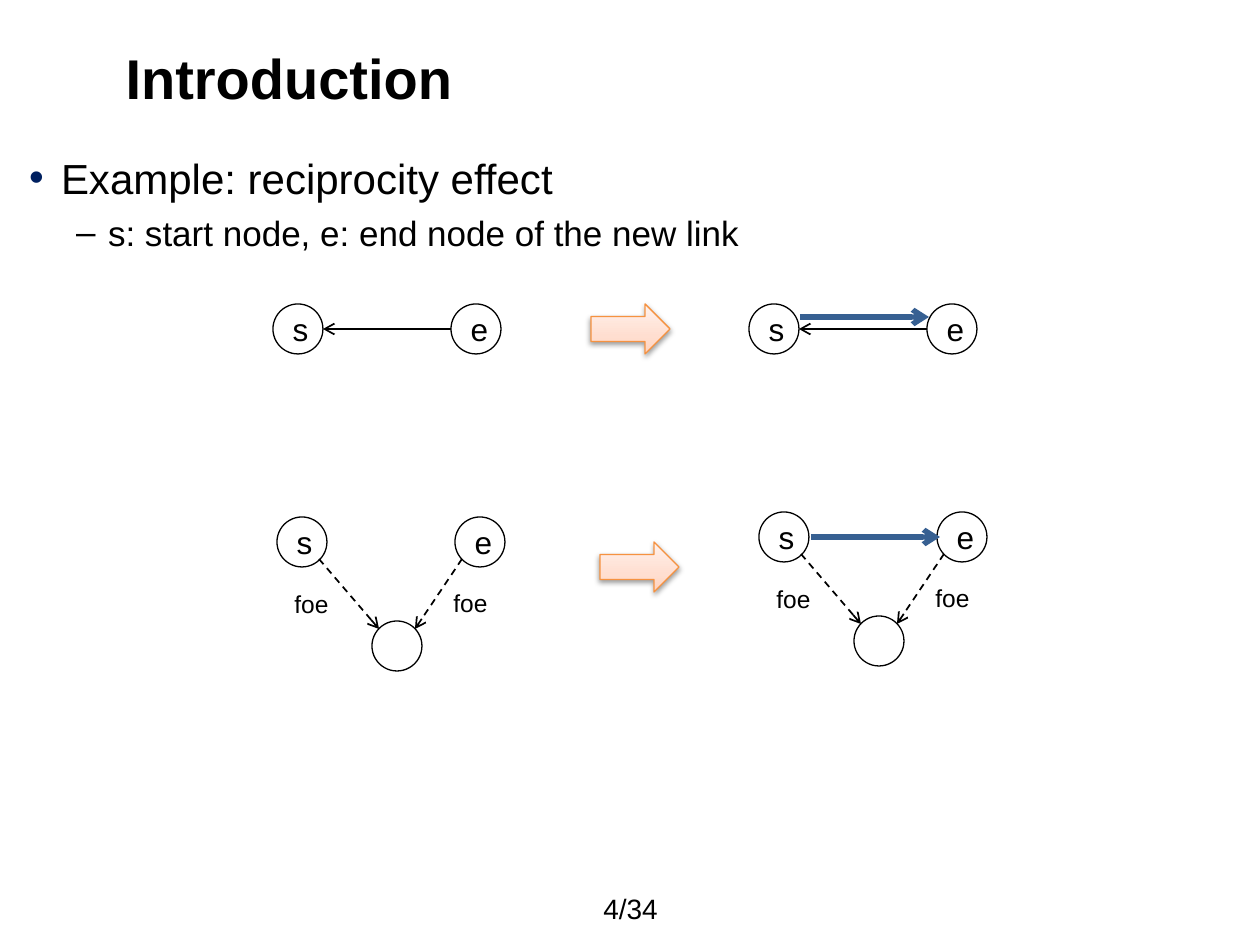
import pptx
import pptx.util
import pptx.dml.color
import pptx.enum.dml
import pptx.enum.shapes
import pptx.enum.text
import pptx.oxml.ns
import copy
from lxml import etree

EMU_PER_PX = 914400 / 126
FONT = "Arial"
BLACK = "000000"
NODE = 50
NODE_GAP = 178
SHAPES = pptx.enum.shapes.MSO_SHAPE
ALIGN = pptx.enum.text.PP_ALIGN
MIDDLE = pptx.enum.text.MSO_ANCHOR.MIDDLE
qn = pptx.oxml.ns.qn


def px(*lengths):
    return [pptx.util.Emu(round(length * EMU_PER_PX)) for length in lengths]


def colour(value):
    return pptx.dml.color.RGBColor.from_string(value)


def add_xml(parent, tag, **attributes):
    return etree.SubElement(parent, qn(tag), {k: str(v) for k, v in attributes.items()})


def write(frame, text, size=18, bold=False, align=ALIGN.LEFT, anchor=None,
          level=0, bullet=None, bullet_colour=BLACK, indent=(0, 0), before=0):
    paragraph = frame.paragraphs[0]
    if paragraph.text:
        paragraph = frame.add_paragraph()
    paragraph.text = text
    paragraph.level = level
    paragraph.alignment = align
    paragraph.space_before = pptx.util.Pt(before)
    if anchor is not None:
        frame.vertical_anchor = anchor
    if bullet:
        properties = paragraph._p.get_or_add_pPr()
        margin, hanging = px(*indent)
        properties.set("marL", str(margin))
        properties.set("indent", str(hanging))
        add_xml(add_xml(properties, "a:buClr"), "a:srgbClr", val=bullet_colour)
        add_xml(properties, "a:buFont", typeface=FONT)
        add_xml(properties, "a:buChar", char=bullet)
    font = paragraph.runs[0].font
    font.name = FONT
    font.size = pptx.util.Pt(size)
    font.bold = bold
    font.color.rgb = colour(BLACK)


def add_text_frame(slide, x, y, width, height, wrap=True):
    frame = slide.shapes.add_textbox(*px(x, y, width, height)).text_frame
    frame.word_wrap = wrap
    return frame


def add_node(slide, x, y, name=None):
    node = slide.shapes.add_shape(SHAPES.OVAL, *px(x, y, NODE, NODE))
    node.shadow.inherit = False
    node.fill.background()
    node.line.color.rgb = colour(BLACK)
    node.line.width = pptx.util.Pt(0.75)
    if name:
        write(node.text_frame, name, align=ALIGN.CENTER, anchor=MIDDLE)


def add_link(slide, start, end, shade=BLACK, width=1, dashed=False):
    link = slide.shapes.add_connector(
        pptx.enum.shapes.MSO_CONNECTOR.STRAIGHT, *px(*start, *end))
    link.line.color.rgb = colour(shade)
    link.line.width = pptx.util.Pt(width)
    if dashed:
        link.line.dash_style = pptx.enum.dml.MSO_LINE.DASH
    properties = link.element.spPr
    add_xml(properties.find(qn("a:ln")), "a:tailEnd", type="arrow")
    add_xml(properties, "a:effectLst")


def add_new_link(slide, x, y):
    add_link(slide, (x, y), (x + 129, y), shade="376092", width=3)


def add_step_arrow(slide, x, y):
    arrow = slide.shapes.add_shape(SHAPES.RIGHT_ARROW, *px(x, y, 79, 50))
    arrow.fill.gradient()
    arrow.fill.gradient_angle = 90
    stops = arrow.element.spPr.find(qn("a:gradFill")).find(qn("a:gsLst"))
    stops.append(copy.deepcopy(stops[0]))
    tints = [(0, "FFD2BD"), (0.35, "FFDED0"), (1, "FFF2ED")]
    for stop, (position, tint) in zip(arrow.fill.gradient_stops, tints):
        stop.position = position
        stop.color.rgb = colour(tint)
    arrow.line.color.rgb = colour("F69240")
    arrow.line.width = pptx.util.Pt(0.75)
    arrow.shadow.inherit = False
    shadow = add_xml(arrow.element.spPr.find(qn("a:effectLst")), "a:outerShdw",
                     blurRad=pptx.util.Pt(3.1), dist=pptx.util.Pt(1.6),
                     dir=5400000, rotWithShape=0)
    add_xml(add_xml(shadow, "a:srgbClr", val=BLACK), "a:alpha", val=38000)


def add_pair(slide, x, y):
    add_node(slide, x, y, "s")
    add_node(slide, x + NODE_GAP, y, "e")


def add_reciprocity(slide, x, y):
    add_pair(slide, x, y)
    add_link(slide, (x + NODE_GAP, y + 25), (x + NODE, y + 25))


def add_common_foe(slide, x, y):
    add_pair(slide, x, y)
    add_node(slide, x + 95, y + 104)
    for start, end, label, label_top in [(42, 102, 5, 66), (185, 138, 164, 65)]:
        add_link(slide, (x + start, y + 42), (x + end, y + 112), dashed=True)
        frame = add_text_frame(slide, x + label, y + label_top, 59, 43, wrap=False)
        write(frame, "foe", size=14)


def add_title(slide, text):
    title = slide.shapes.title
    title.left, title.top, title.width, title.height = px(113, 37, 1045, 81)
    write(title.text_frame, text, size=32, bold=True, anchor=MIDDLE)


def add_body(slide):
    body = add_text_frame(slide, 29, 147, 1201, 689)
    body.margin_left = body.margin_right = body.margin_bottom = 0
    body.margin_top = px(5)[0]
    write(body, "Example: reciprocity effect", size=24, bullet="•",
          bullet_colour="002060", indent=(32, -32))
    write(body, "s: start node, e: end node of the new link", size=20, level=1,
          bullet="–", indent=(79, -32), before=5)


def main():
    deck = pptx.Presentation()
    deck.slide_width, deck.slide_height = px(1260, 945)
    slide = deck.slides.add_slide(deck.slide_layouts[5])
    add_title(slide, "Introduction")
    add_body(slide)

    add_reciprocity(slide, 273, 304)
    add_step_arrow(slide, 591, 304)
    add_reciprocity(slide, 749, 304)
    add_new_link(slide, 800, 317)

    add_common_foe(slide, 277, 517)
    add_step_arrow(slide, 600, 542)
    add_common_foe(slide, 759, 512)
    add_new_link(slide, 811, 537)

    page = add_text_frame(slide, 591, 890, 108, 37)
    write(page, "4/34", size=16, anchor=MIDDLE)
    deck.save("out.pptx")


if __name__ == "__main__":
    main()
